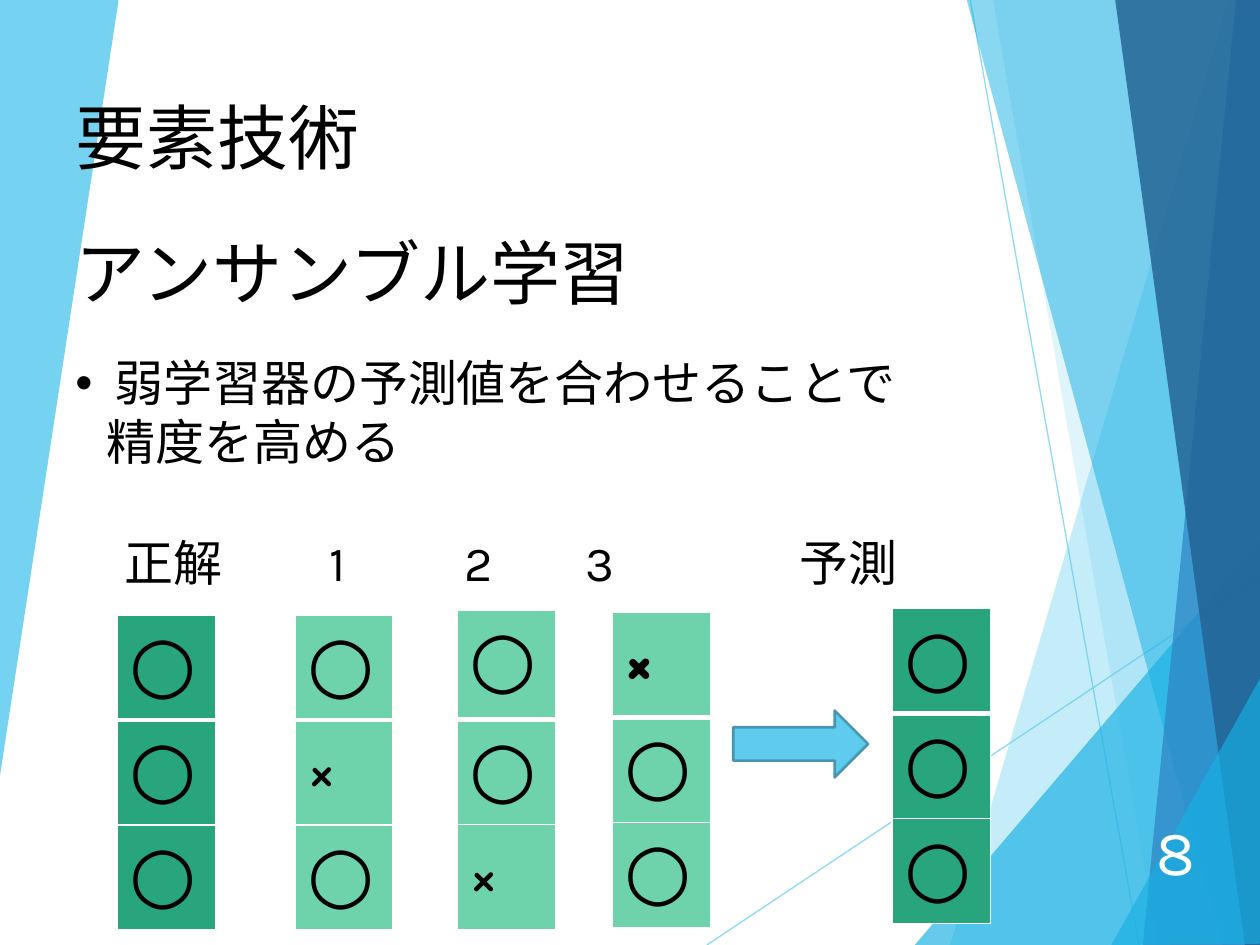
"""Build the slide on ensemble learning."""
from lxml import etree
from pptx import Presentation
from pptx import util as u
from pptx.dml.color import RGBColor
from pptx.enum import shapes, text
from pptx.oxml.ns import qn

BODY, MARK = "Karla", "Comic Neue"
BLACK, WHITE, SKY, CYAN = "000000", "FFFFFF", "5FCBEF", "17B0E4"
DARK_GREEN, LIGHT_GREEN = "29A57D", "6ED2AA"
RAYS = [((5.61, 7.5), (10.01, 4.57)), ((7.7, 0), (9.04, 7.5))]
FACETS = [
    ([(9.75, 0), (7.54, 7.5), (10.02, 7.51), (10.01, 0.01)], SKY, 36),
    ([(7.88, -0.01), (9.19, 7.5), (10.01, 7.5), (10.01, -0.01)], SKY, 20),
    ([(7.26, 7.5), (10, 4.29), (10.01, 7.5)], CYAN, 66),
    ([(7.67, -0.01), (9.7, 7.5), (10.01, 7.49), (10.01, -0.01)], CYAN, 50),
    ([(9.81, -0.01), (9.07, 7.5), (10.01, 7.5), (10, -0.01)], "2E83C3", 70),
    ([(8.85, -0.01), (9.88, 7.5), (10.02, 7.5), (10, -0.01)], "226292", 82),
    ([(8.82, 7.5), (10.02, 5.35), (10.02, 7.49)], CYAN, 66),
    ([(-0.01, 0), (0.94, -0.01), (0.94, 0.01), (-0.01, 6.22)], SKY, 85),
]
VOTES = [
    (2.34, 4.88, 0.75, "○×○", LIGHT_GREEN),
    (3.63, 4.84, 0.87, "○○×", LIGHT_GREEN),
    (7.08, 4.83, 0.75, "○○○", DARK_GREEN),
    (4.86, 4.86, 0.75, "×○○", LIGHT_GREEN),
    (0.93, 4.88, 0.82, "○○○", DARK_GREEN),
]


def inches(*values):
    """Turn numbers into a list of lengths."""
    return [u.Inches(value) for value in values]


def paint(fill, color, alpha=100):
    """Give a fill a solid colour with an opacity in percent."""
    fill.solid()
    fill.fore_color.rgb = RGBColor.from_string(color)
    if alpha < 100:
        choice = fill._xPr.find(qn("a:solidFill"))[0]
        etree.SubElement(choice, qn("a:alpha"), val=str(alpha * 1000))


def style(font, **values):
    """Set font attributes and colour."""
    paint(font.fill, values.pop("color", BLACK))
    for name, value in values.items():
        setattr(font, name, value)


def add_ray(page, start, end):
    """Draw a thin translucent line."""
    ray = page.shapes.add_connector(
        shapes.MSO_CONNECTOR.STRAIGHT, *inches(*start, *end))
    paint(ray.line.fill, SKY, 70)
    ray.line.width = u.Pt(0.75)
    etree.SubElement(ray._element.spPr, qn("a:effectLst"))


def add_facet(page, points, color, alpha):
    """Draw a translucent polygon."""
    corners = [inches(*point) for point in points]
    builder = page.shapes.build_freeform(*corners[0])
    builder.add_line_segments(corners[1:], close=True)
    facet = builder.convert_to_shape()
    facet.shadow.inherit = False
    paint(facet.fill, color, alpha)
    facet.line.fill.background()


def add_text(page, place, lines, size, color=BLACK, align=None, anchor=None):
    """Add a text box and return its paragraphs."""
    box = page.shapes.add_textbox(*inches(*place))
    frame = box.text_frame
    frame.word_wrap = True
    frame.vertical_anchor = anchor
    frame.text = "\n".join(lines)
    for para in frame.paragraphs:
        para.alignment = align
        for span in para.runs:
            style(span.font, name=BODY, size=u.Pt(size), color=color)
    return frame.paragraphs


def indent(para, left, first=0, bullet=None):
    """Set the indents of a paragraph and its bullet."""
    props = para._p.get_or_add_pPr()
    props.set("marL", str(u.Inches(left)))
    props.set("indent", str(u.Inches(first)))
    if bullet:
        etree.SubElement(props, qn("a:buFont"), typeface="Arial")
        etree.SubElement(props, qn("a:buChar"), char=bullet)


def add_tabs(para, stops):
    """Set left tab stops on a paragraph."""
    tabs = etree.SubElement(para._p.get_or_add_pPr(), qn("a:tabLst"))
    for stop in inches(*stops):
        etree.SubElement(tabs, qn("a:tab"), pos=str(stop), algn="l")


def add_borders(cell, bottom):
    """Give a cell white borders before its fill is set."""
    props = cell._tc.get_or_add_tcPr()
    for side, width in {"L": 1, "R": 1, "T": 1, "B": bottom}.items():
        edge = etree.SubElement(props, qn(f"a:ln{side}"), w=str(u.Pt(width)))
        solid = etree.SubElement(edge, qn("a:solidFill"))
        etree.SubElement(solid, qn("a:srgbClr"), val=WHITE)


def add_votes(page, left, top, first_height, marks, color):
    """Add a one-column table of right and wrong marks."""
    frame = page.shapes.add_table(
        len(marks), 1, *inches(left, top, 0.78, 2.5))
    table = frame.table
    for index, mark in enumerate(marks):
        first = index == 0
        table.rows[index].height = u.Inches(first_height if first else 0.75)
        cell = table.cell(index, 0)
        add_borders(cell, 3 if first else 1)
        paint(cell.fill, color)
        cell.text = mark
        span = cell.text_frame.paragraphs[0].runs[0]
        style(span.font, name=MARK, size=u.Pt(44), bold=first)


def add_arrow(page, place):
    """Add the block arrow that leads to the prediction."""
    arrow = page.shapes.add_shape(
        shapes.MSO_SHAPE.RIGHT_ARROW, *inches(*place))
    arrow.shadow.inherit = False
    paint(arrow.fill, SKY)
    paint(arrow.line.fill, "4696B1")
    arrow.line.width = u.Pt(1.5)


def main():
    """Build and save the deck."""
    deck = Presentation()
    deck.slide_width, deck.slide_height = inches(10, 7.5)
    page = deck.slides.add_slide(deck.slide_layouts[6])
    for start, end in RAYS:
        add_ray(page, start, end)
    for facet in FACETS:
        add_facet(page, *facet)
    add_text(page, (8.74, 6.48, 0.84, 0.53), ["8"], 36, WHITE,
             text.PP_ALIGN.RIGHT, text.MSO_ANCHOR.MIDDLE)
    add_text(page, (0.5, 0.69, 3.81, 0.78), ["要素技術"], 40.5)
    add_text(page, (0.5, 1.77, 7.71, 0.77), ["アンサンブル学習"], 40)
    point, rest = add_text(
        page, (0.5, 2.75, 8.89, 1.51),
        ["弱学習器の予測値を合わせることで", "精度を高める"], 28)
    indent(point, 0.31, -0.31, "•")
    indent(rest, 0.25)
    for votes in VOTES:
        add_votes(page, *votes)
    headings = add_text(page, (0.89, 4.18, 7.18, 0.57),
                        ["\t".join(["正解", "1", "2", "3", "予測"])], 28)
    add_tabs(headings[0], [1.63, 2.7, 3.66, 5.36])
    add_arrow(page, (5.82, 5.64, 1.07, 0.53))
    deck.save("out.pptx")


if __name__ == "__main__":
    main()
